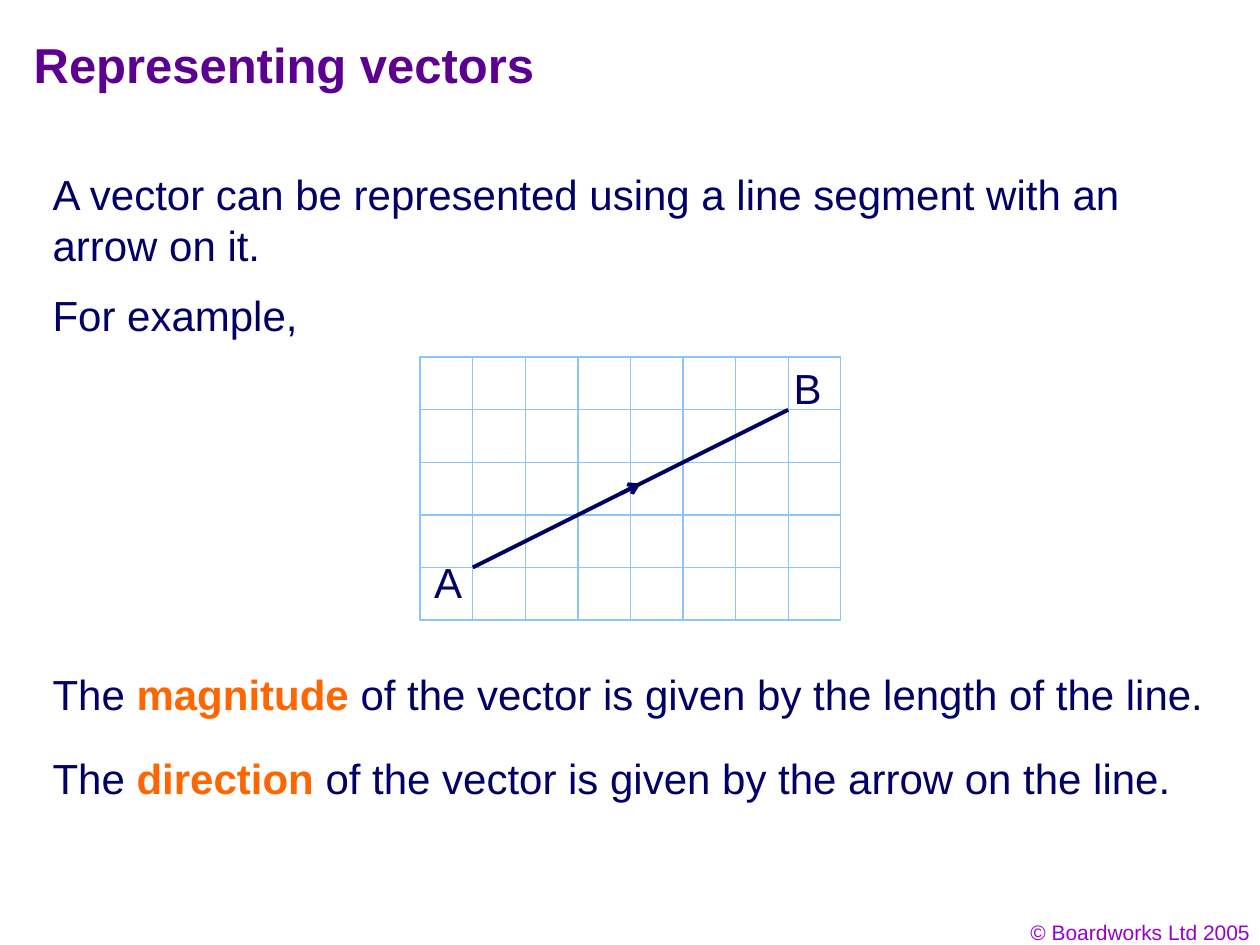
import dataclasses

import pptx
import pptx.dml.color
import pptx.enum.shapes
import pptx.enum.text
import pptx.oxml
import pptx.oxml.ns
import pptx.util

Cm = pptx.util.Cm
Pt = pptx.util.Pt
Align = pptx.enum.text.PP_ALIGN
Anchor = pptx.enum.text.MSO_ANCHOR


@dataclasses.dataclass(frozen=True)
class Theme:
    font: str = "Arial"
    title: str = "5B0091"
    body: str = "010066"
    accent: str = "FF6600"
    footer: str = "9900CC"
    paper: str = "FFFFFF"
    grid: str = "89C4FF"
    vector: str = "000066"
    title_size: float = 28
    body_size: float = 24
    footer_size: float = 12
    grid_width: float = 0.75
    vector_width: float = 2.25


THEME = Theme()

# Square grid, in cm
GRID_LEFT, GRID_TOP, CELL = 8.47, 7.2, 1.06
COLUMNS, ROWS = 8, 5


def rgb(value):
    return pptx.dml.color.RGBColor.from_string(value)


def grid_point(column, row):
    return GRID_LEFT + column * CELL, GRID_TOP + row * CELL


def add_text(slide, box, runs, size=THEME.body_size, wrap=False,
             align=Align.LEFT, anchor=Anchor.TOP):
    """Add one paragraph; runs are (text, colour, bold) triples."""
    frame = slide.shapes.add_textbox(*map(Cm, box)).text_frame
    for name, value in {"word_wrap": wrap, "vertical_anchor": anchor}.items():
        setattr(frame, name, value)
    paragraph = frame.paragraphs[0]
    paragraph.alignment = align
    for text, colour, bold in runs:
        run = paragraph.add_run()
        run.text = text
        formats = {"name": THEME.font, "size": Pt(size), "bold": bold}
        for name, value in formats.items():
            setattr(run.font, name, value)
        run.font.color.rgb = rgb(colour)


def add_body(slide, box, text, wrap=False):
    add_text(slide, box, [(text, THEME.body, False)], wrap=wrap)


def add_key_sentence(slide, box, keyword, ending):
    add_text(slide, box, [("The ", THEME.body, False),
                          (keyword, THEME.accent, True),
                          (ending, THEME.body, False)])


def add_grid(slide):
    grid = slide.shapes.add_group_shape()
    for row in range(ROWS):
        for column in range(COLUMNS):
            left, top = grid_point(column, row)
            square = grid.shapes.add_shape(
                pptx.enum.shapes.MSO_SHAPE.RECTANGLE,
                Cm(left), Cm(top), Cm(CELL), Cm(CELL))
            square.shadow.inherit = False
            square.fill.solid()
            square.fill.fore_color.rgb = rgb(THEME.paper)
            square.line.color.rgb = rgb(THEME.grid)
            square.line.width = Pt(THEME.grid_width)


def add_line(group, start, end, arrow=False):
    line = group.shapes.add_connector(
        pptx.enum.shapes.MSO_CONNECTOR.STRAIGHT, *map(Cm, (*start, *end)))
    line.line.color.rgb = rgb(THEME.vector)
    line.line.width = Pt(THEME.vector_width)
    properties = line._element.spPr
    if arrow:
        head = pptx.oxml.parse_xml(
            f'<a:tailEnd {pptx.oxml.ns.nsdecls("a")} type="arrow"/>')
        line.line._get_or_add_ln().append(head)
    properties.append(pptx.oxml.parse_xml(
        f'<a:effectLst {pptx.oxml.ns.nsdecls("a")}/>'))


def add_vector(slide, start, end):
    """Draw a segment with an arrowhead at its middle."""
    vector = slide.shapes.add_group_shape()
    add_line(vector, start, end)
    middle_x, middle_y = ((a + b) / 2 for a, b in zip(start, end))
    add_line(vector, (middle_x - 0.2, middle_y + 0.1),
             (middle_x + 0.2, middle_y - 0.1), arrow=True)


def main():
    presentation = pptx.Presentation()
    presentation.slide_width = Cm(25.4)
    presentation.slide_height = Cm(19.05)
    slide = presentation.slides.add_slide(presentation.slide_layouts[6])

    # Footer and title
    add_text(slide, (19.53, 18.42, 5.92, 0.76),
             [("© Boardworks Ltd 2005", THEME.footer, False)],
             size=THEME.footer_size, wrap=True, align=Align.RIGHT)
    add_text(slide, (0.43, 0.43, 21.6, 1.7),
             [("Representing vectors", THEME.title, True)],
             size=THEME.title_size, wrap=True, anchor=Anchor.MIDDLE)

    # Introduction
    add_body(slide, (0.81, 3.28, 24.18, 2.29),
             "A vector can be represented using a line segment "
             "with an arrow on it.", wrap=True)
    add_body(slide, (0.81, 5.72, 5.44, 1.27), "For example,")

    # Vector from A to B on the grid
    add_grid(slide)
    add_vector(slide, grid_point(1, 4), grid_point(7, 1))
    add_body(slide, (8.5, 11.1, 1.07, 1.27), "A")
    add_body(slide, (15.75, 7.19, 1.07, 1.27), "B")

    # Magnitude and direction
    add_key_sentence(slide, (0.81, 13.36, 23.7, 1.27), "magnitude",
                     " of the vector is given by the length of the line.")
    add_key_sentence(slide, (0.81, 15.04, 23.04, 1.27), "direction",
                     " of the vector is given by the arrow on the line.")

    presentation.save("out.pptx")


if __name__ == "__main__":
    main()
